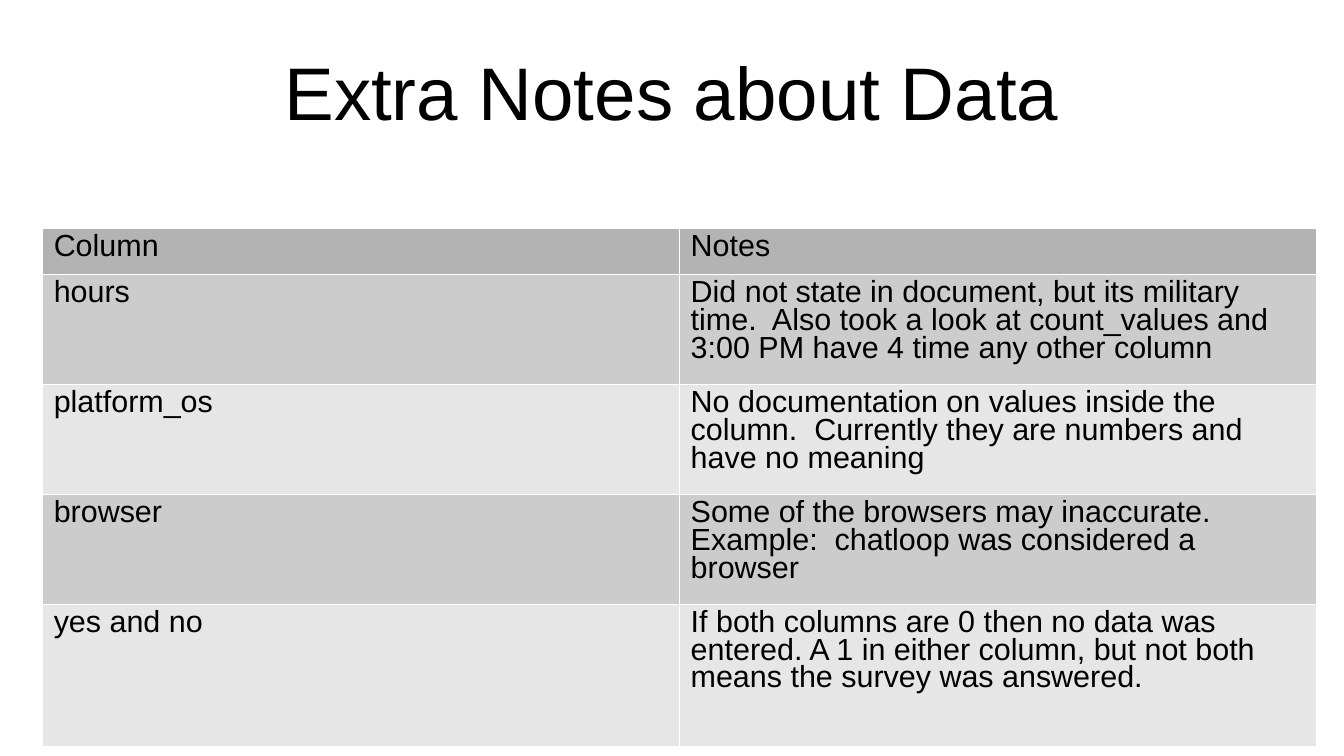
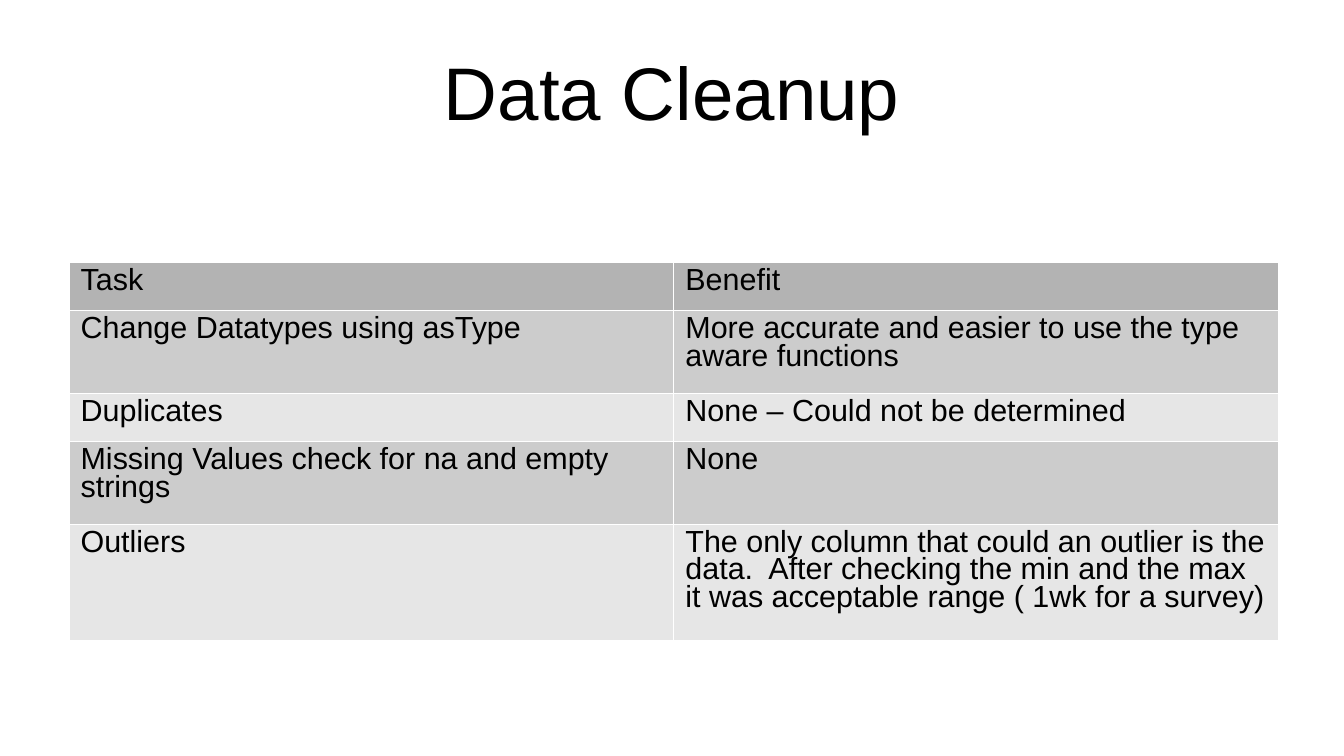
"""Build two slides, each with a centred title and a banded two-column table."""
from dataclasses import dataclass

from lxml import etree
from pptx import Presentation
from pptx import util as u
from pptx.dml.color import RGBColor
from pptx.enum import text
from pptx.oxml import ns


@dataclass(frozen=True)
class Theme:
    font: str = "Arial"
    title_size: int = 44
    cell_size: int = 18
    title_spacing: float = 0.93
    cell_spacing: float = 0.81
    ink: str = "000000"
    header: str = "B3B3B3"
    bands: tuple[str, str] = ("CCCCCC", "E6E6E6")
    border: str = "FFFFFF"
    border_width: float = 0.06


@dataclass(frozen=True)
class Row:
    height: float
    cells: tuple[str, str]


@dataclass(frozen=True)
class TableSlide:
    title: str
    left: float
    top: float
    width: float
    rows: tuple[Row, ...]


THEME = Theme()

SLIDES = (
    TableSlide("Extra Notes about Data", 0.87, 4.75, 26.54, (
        Row(0.97, ("Column", "Notes")),
        Row(2.29, ("hours",
                   "Did not state in document, but its military time.  Also took a look "
                   "at count_values and\n3:00 PM have 4 time any other column")),
        Row(2.29, ("platform_os",
                   "No documentation on values inside the column.  Currently they are "
                   "numbers and\nhave no meaning")),
        Row(2.29, ("browser",
                   "Some of the browsers may inaccurate.  Example:  chatloop was "
                   "considered a browser")),
        Row(2.95, ("yes and no",
                   "If both columns are 0 then no data was entered. A 1 in either "
                   "column, but not both\vmeans the survey was answered.")),
    )),
    TableSlide("Data Cleanup", 1.43, 5.47, 25.2, (
        Row(0.99, ("Task", "Benefit")),
        Row(1.72, ("Change Datatypes using asType",
                   "More accurate and easier to use the type aware functions")),
        Row(1.01, ("Duplicates", "None – Could not be determined")),
        Row(1.72, ("Missing Values check for na and empty strings", "None")),
        Row(2.43, ("Outliers",
                   "The only column that could an outlier is the data.  After checking "
                   "the min and the max it was acceptable range ( 1wk for a survey)")),
    )),
)


def write(tf, content: str, *, size: int, spacing: float,
          align=text.PP_ALIGN.LEFT) -> None:
    """Fill a text frame and format every paragraph and run."""
    tf.text = content
    for p in tf.paragraphs:
        p.alignment = align
        p.line_spacing = spacing
        for r in p.runs:
            r.font.name = THEME.font
            r.font.size = u.Pt(size)
            r.font.color.rgb = RGBColor.from_string(THEME.ink)


def add_title(s, title: str) -> None:
    """Add the centred slide title."""
    sp = s.shapes.add_textbox(u.Cm(1.4), u.Cm(0.63), u.Cm(25.2), u.Cm(2.62))
    tf = sp.text_frame
    tf.word_wrap = True
    tf.vertical_anchor = text.MSO_ANCHOR.MIDDLE
    tf.margin_left = tf.margin_right = tf.margin_bottom = 0
    tf.margin_top = u.Cm(0.1)
    write(tf, title, size=THEME.title_size, spacing=THEME.title_spacing,
          align=text.PP_ALIGN.CENTER)


def set_borders(cell) -> None:
    """Draw a thin line on all four sides of a cell."""
    pr = cell._tc.get_or_add_tcPr()
    for i, side in enumerate(("lnL", "lnR", "lnT", "lnB")):
        ln = etree.Element(ns.qn(f"a:{side}"), w=str(u.Pt(THEME.border_width)))
        fill = etree.SubElement(ln, ns.qn("a:solidFill"))
        etree.SubElement(fill, ns.qn("a:srgbClr"), val=THEME.border)
        pr.insert(i, ln)


def add_table(s, spec_: TableSlide) -> None:
    """Add a table with equal columns and alternating row fills."""
    height = sum(row.height for row in spec_.rows)
    sp = s.shapes.add_table(len(spec_.rows), 2, u.Cm(spec_.left), u.Cm(spec_.top),
                            u.Cm(spec_.width), u.Cm(height))
    table = sp.table
    table.first_row = table.horz_banding = False
    for i, row in enumerate(spec_.rows):
        table.rows[i].height = u.Cm(row.height)
        color = THEME.bands[(i - 1) % 2] if i else THEME.header
        for j, content in enumerate(row.cells):
            cell = table.cell(i, j)
            cell.margin_left = cell.margin_right = u.Cm(0.25)
            cell.margin_top = cell.margin_bottom = u.Cm(0.13)
            cell.fill.solid()
            cell.fill.fore_color.rgb = RGBColor.from_string(color)
            set_borders(cell)
            write(cell.text_frame, content, size=THEME.cell_size,
                  spacing=THEME.cell_spacing)


def main() -> None:
    """Build and save the presentation."""
    prs = Presentation()
    prs.slide_width, prs.slide_height = u.Cm(28), u.Cm(15.75)
    for item in SLIDES:
        s = prs.slides.add_slide(prs.slide_layouts[6])
        add_title(s, item.title)
        add_table(s, item)
    prs.save("out.pptx")


if __name__ == "__main__":
    main()
